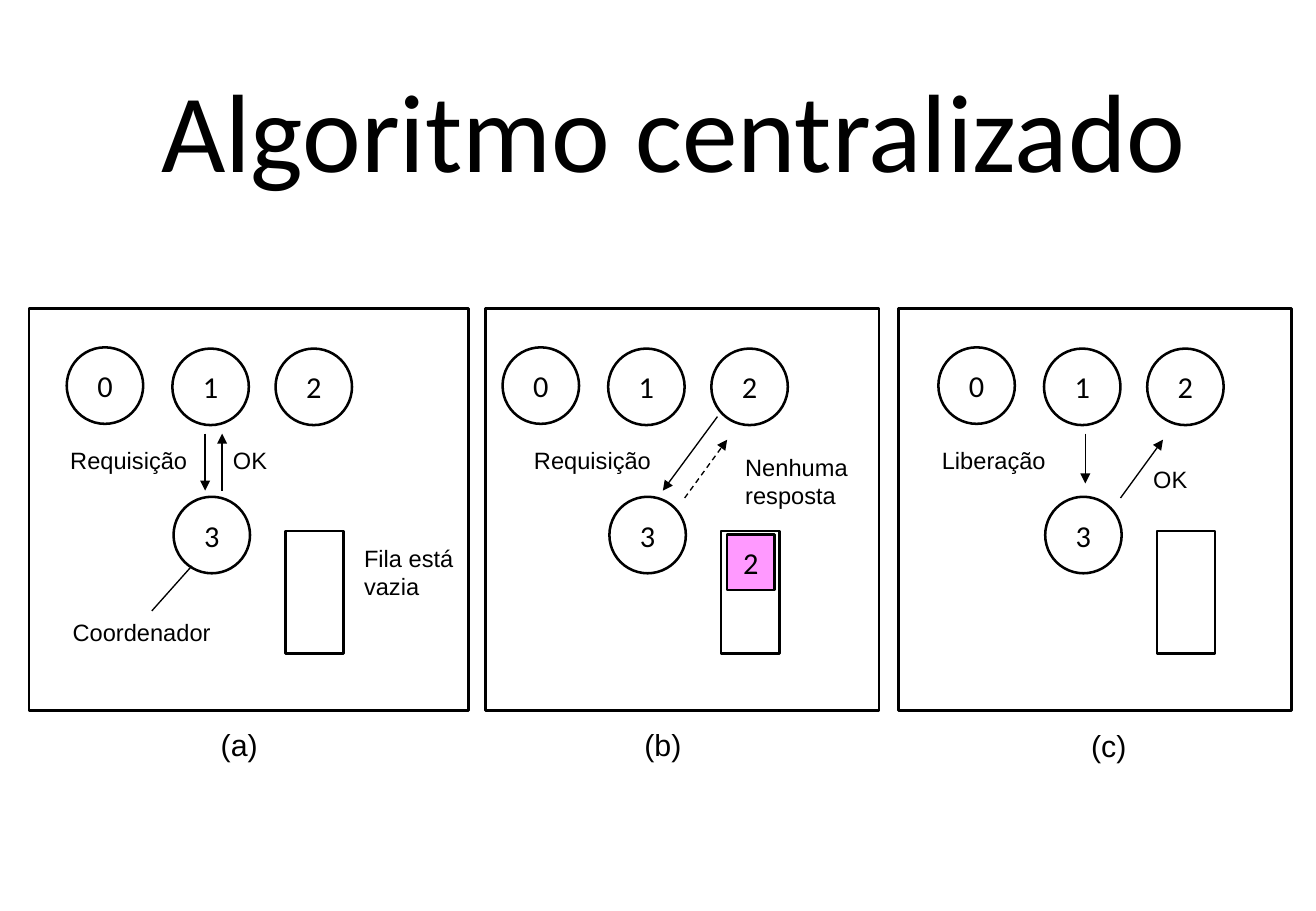
from lxml.etree import SubElement
from pptx import Presentation
from pptx.dml.color import RGBColor
from pptx.enum.dml import MSO_LINE
from pptx.enum.shapes import MSO_CONNECTOR, MSO_SHAPE
from pptx.enum.text import MSO_ANCHOR, MSO_AUTO_SIZE, PP_ALIGN
from pptx.oxml.ns import qn
from pptx.util import Inches, Pt

COLORS = {"ink": "000000", "queued": "FF99FF"}

PANEL_STEP = 3.59
FIRST_PROCESS_LEFT = 0.55
PROCESS_SIZE = 0.63
PROCESSES = [("0", 0, 2.86), ("1", 0.87, 2.87), ("2", 1.72, 2.87), ("3", 0.88, 4.09)]
QUEUE_OFFSET = 1.8

PANELS = [
    {
        "frame": (0.24, 3.62),
        "caption": ("(a)", 1.72, 5.93, 0.53, 0.4),
        "labels": [
            ("Requisição", 0.48, 3.62, 1.19, 0.34),
            ("OK", 1.82, 3.62, 0.51, 0.34),
            ("Coordenador", 0.5, 5.04, 1.37, 0.34),
            ("Fila está vazia", 2.9, 4.43, 1.02, 0.57, True),
        ],
        "messages": [
            ((1.83, 4.04), (1.83, 3.57)),
            ((1.69, 3.57), (1.69, 4.04)),
            ((1.58, 4.66), (1.25, 5.03), False),
        ],
    },
    {
        "frame": (4, 3.24),
        "caption": ("(b)", 5.21, 5.93, 0.53, 0.4),
        "labels": [
            ("Requisição", 4.3, 3.62, 1.19, 0.34),
            ("Nenhuma\nresposta", 6.04, 3.68, 1.07, 0.57),
        ],
        "messages": [
            ((5.64, 4.1), (5.99, 3.62), True, True),
            ((5.91, 3.43), (5.46, 4.04)),
        ],
        "queued": "2",
    },
    {
        "frame": (7.4, 3.24),
        "caption": ("(c)", 8.89, 5.94, 0.53, 0.4),
        "labels": [
            ("Liberação", 7.66, 3.62, 1.08, 0.34),
            ("OK", 9.4, 3.78, 0.51, 0.34),
        ],
        "messages": [
            ((9.23, 4.1), (9.58, 3.62)),
            ((8.94, 3.57), (8.94, 3.98)),
        ],
    },
]


def color(name):
    return RGBColor.from_string(COLORS[name])


def write(frame, text, font, size, align=PP_ALIGN.LEFT):
    frame.text = text
    for paragraph in frame.paragraphs:
        paragraph.alignment = align
        for run in paragraph.runs:
            run.font.name = font
            run.font.size = Pt(size)
            run.font.color.rgb = color("ink")


def add_title(slide, text):
    title = slide.shapes.title
    title.left, title.top = Inches(0.72), Inches(0.32)
    title.width, title.height = Inches(9.66), Inches(1.46)
    title.text_frame.auto_size = MSO_AUTO_SIZE.NONE
    title.text_frame.vertical_anchor = MSO_ANCHOR.MIDDLE
    write(title.text_frame, text, "Calibri", 66, PP_ALIGN.CENTER)


def add_outline(slide, preset, left, top, width, height, text="", fill=None):
    outline = slide.shapes.add_shape(
        preset, Inches(left), Inches(top), Inches(width), Inches(height)
    )
    outline.shadow.inherit = False
    if fill:
        outline.fill.solid()
        outline.fill.fore_color.rgb = color(fill)
    else:
        outline.fill.background()
    outline.line.color.rgb = color("ink")
    outline.line.width = Pt(1.5)
    if text:
        outline.text_frame.vertical_anchor = MSO_ANCHOR.MIDDLE
        write(outline.text_frame, text, "Calibri", 18, PP_ALIGN.CENTER)


def add_label(slide, text, left, top, width, height, wrap=False, size=14):
    label = slide.shapes.add_textbox(
        Inches(left), Inches(top), Inches(width), Inches(height)
    )
    label.text_frame.word_wrap = wrap
    label.text_frame.auto_size = MSO_AUTO_SIZE.SHAPE_TO_FIT_TEXT
    write(label.text_frame, text, "Arial", size)


def add_message(slide, start, end, arrow=True, dashed=False):
    message = slide.shapes.add_connector(
        MSO_CONNECTOR.STRAIGHT, *[Inches(value) for value in (*start, *end)]
    )
    message.line.color.rgb = color("ink")
    message.line.width = Pt(0.79)
    if dashed:
        message.line.dash_style = MSO_LINE.DASH
    if arrow:
        SubElement(message.line._get_or_add_ln(), qn("a:tailEnd"), type="triangle")
    SubElement(message._element.spPr, qn("a:effectLst"))


def add_panel(slide, index, panel):
    origin = FIRST_PROCESS_LEFT + index * PANEL_STEP
    for name, offset, top in PROCESSES:
        add_outline(slide, MSO_SHAPE.OVAL, origin + offset, top,
                    PROCESS_SIZE, PROCESS_SIZE, name)
    for message in panel["messages"]:
        add_message(slide, *message)
    for label in panel["labels"]:
        add_label(slide, *label)

    queue_left = origin + QUEUE_OFFSET
    add_outline(slide, MSO_SHAPE.RECTANGLE, queue_left, 4.37, 0.48, 1.01)
    if "queued" in panel:
        add_outline(slide, MSO_SHAPE.RECTANGLE, queue_left + 0.05, 4.4, 0.39, 0.46,
                    panel["queued"], "queued")

    frame_left, frame_width = panel["frame"]
    add_outline(slide, MSO_SHAPE.RECTANGLE, frame_left, 2.54, frame_width, 3.31)
    add_label(slide, *panel["caption"], size=18)


def main():
    presentation = Presentation()
    presentation.slide_width = Inches(10.84)
    presentation.slide_height = Inches(7.5)
    slide = presentation.slides.add_slide(presentation.slide_layouts[5])
    add_title(slide, "Algoritmo centralizado")
    for index, panel in enumerate(PANELS):
        add_panel(slide, index, panel)
    presentation.save("out.pptx")


if __name__ == "__main__":
    main()
